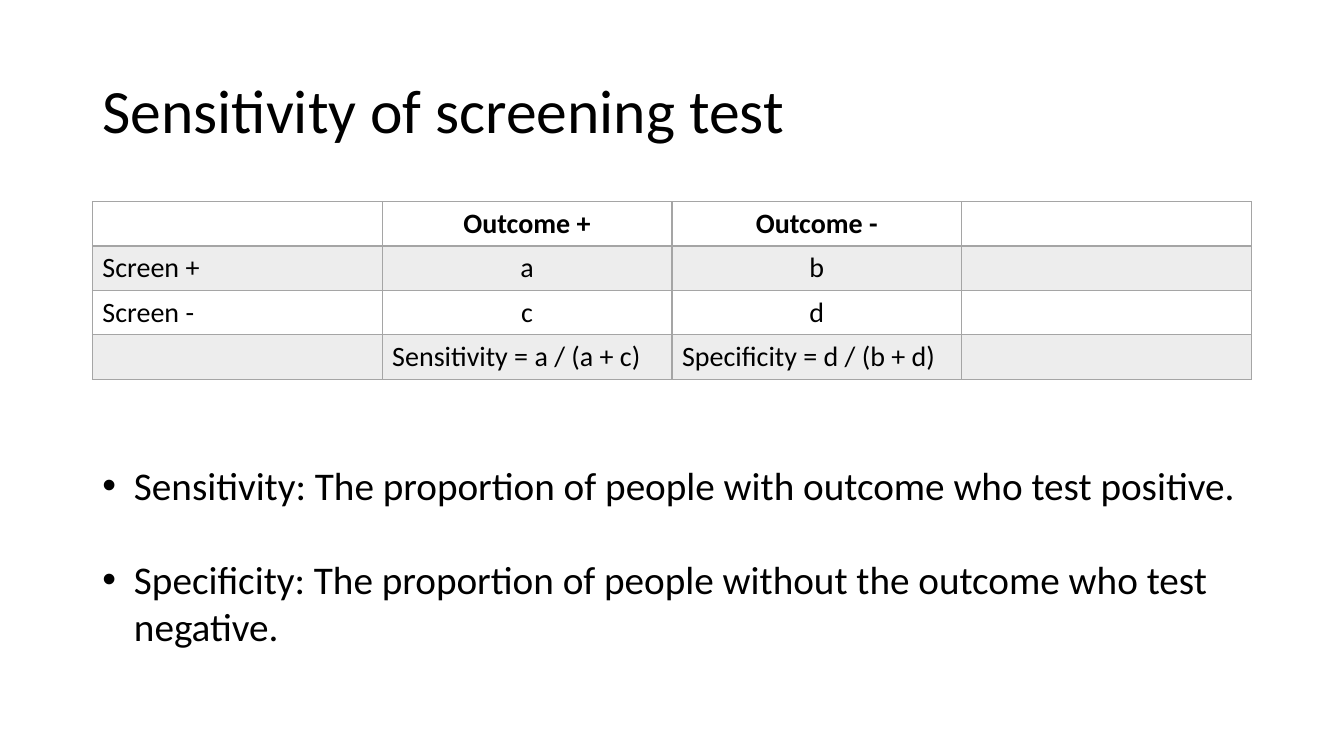
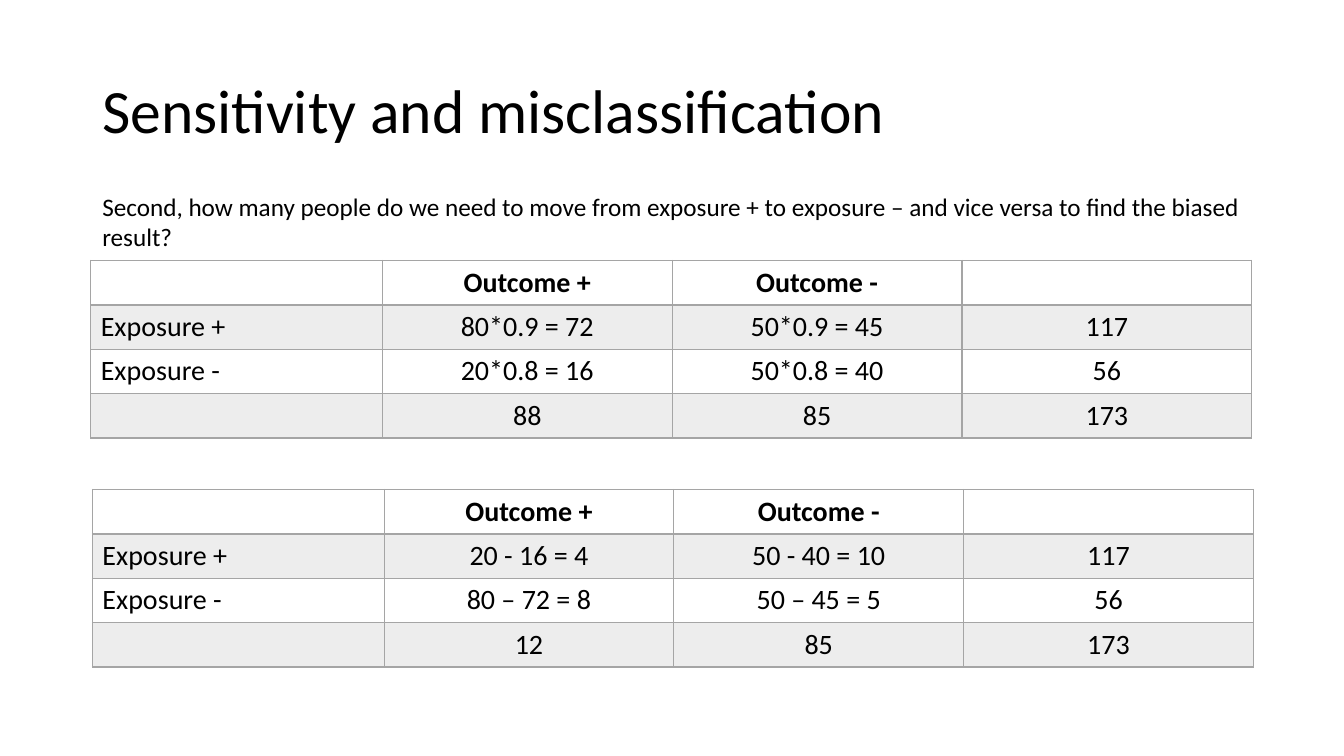
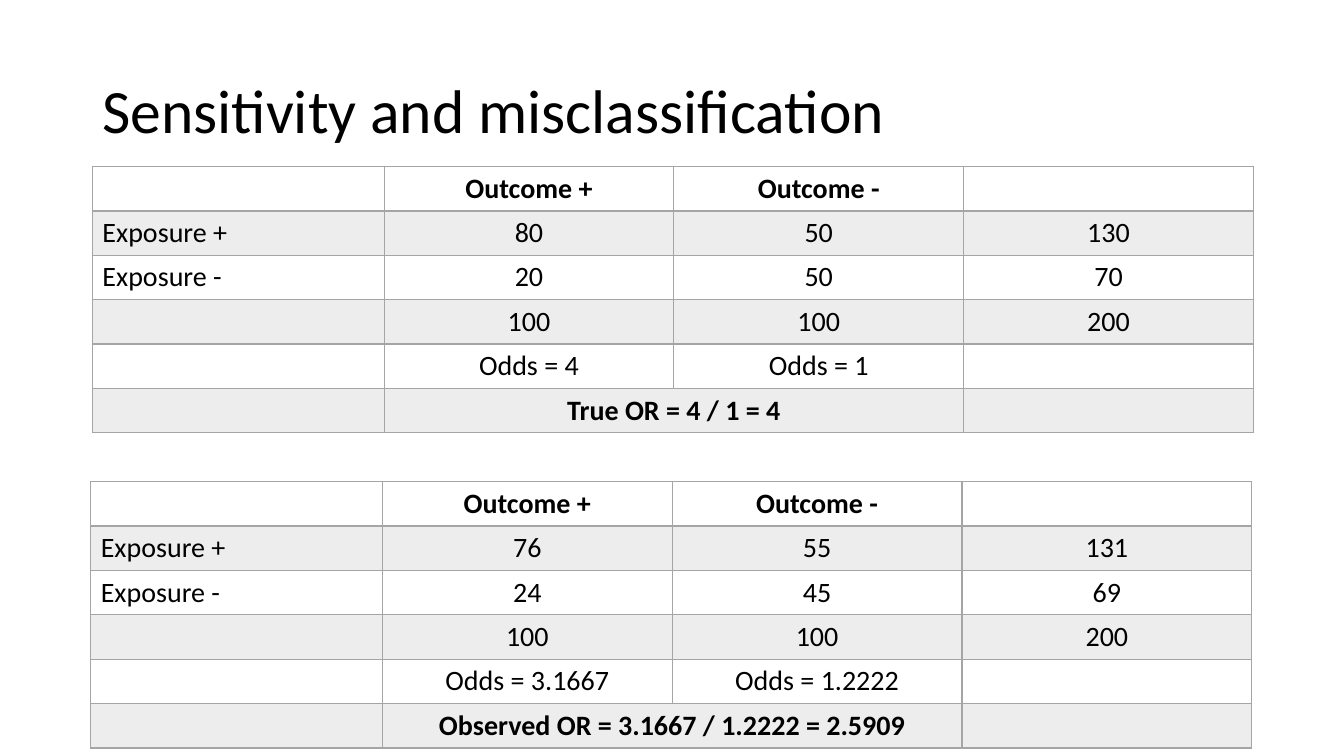
"""Build three slides on screening sensitivity and misclassification."""
from dataclasses import dataclass

from lxml.etree import SubElement
from pptx import Presentation
from pptx.dml.color import RGBColor as Color
from pptx.enum.text import MSO_ANCHOR as Anchor, MSO_AUTO_SIZE as AutoSize, PP_ALIGN as Align
from pptx.oxml.ns import qn
from pptx.util import Pt


@dataclass(frozen=True)
class Theme:
    font: str = "Calibri"
    ink: Color = Color(0, 0, 0)
    band: Color = Color(0xED, 0xED, 0xED)
    rule: str = "A5A5A5"
    title_size: float = 44
    body_size: float = 28
    note_size: float = 18
    cell_size: float = 20
    thin: float = 1
    thick: float = 2
    row_height: float = 31.6
    column_width: float = 207


@dataclass(frozen=True)
class Area:
    left: float
    top: float
    width: float
    height: float


@dataclass(frozen=True)
class Grid:
    left: float
    top: float
    rows: tuple[tuple[str, ...], ...]
    first_width: float = 208.4
    left_rows: tuple[int, ...] = ()
    merged_row: int | None = None


@dataclass(frozen=True)
class Page:
    title: str
    grids: tuple[Grid, ...]
    bullets: tuple[str, ...] = ()
    note: str = ""


THEME = Theme()
TITLE_AREA = Area(66, 28.8, 828, 104.4)
BULLET_AREA = Area(66, 326.2, 828, 143.3)
NOTE_AREA = Area(66, 133.2, 829.4, 51)
BULLET_INDENT = 22.5
BULLET_GAP = 33
TITLE_AND_CONTENT, TITLE_ONLY = 1, 5
HEADER = ("", "Outcome +", "Outcome -", "")
MISCLASSIFICATION = "Sensitivity and misclassification"

PAGES = (
    Page(
        "Sensitivity of screening test",
        (Grid(66, 144, (
            HEADER,
            ("Screen +", "a", "b", ""),
            ("Screen -", "c", "d", ""),
            ("", "Sensitivity = a / (a + c)", "Specificity = d / (b + d)", ""),
        ), first_width=THEME.column_width, left_rows=(3,)),),
        bullets=(
            "Sensitivity: The proportion of people with outcome who test positive.",
            "Specificity: The proportion of people without the outcome who test negative.",
        ),
    ),
    Page(
        MISCLASSIFICATION,
        (
            Grid(64.8, 186, (
                HEADER,
                ("Exposure +", "80*0.9 = 72", "50*0.9 = 45", "117"),
                ("Exposure -", "20*0.8 = 16", "50*0.8 = 40", "56"),
                ("", "88", "85", "173"),
            )),
            Grid(66, 349.6, (
                HEADER,
                ("Exposure +", "20 - 16 = 4", "50 - 40 = 10", "117"),
                ("Exposure -", "80 – 72 = 8", "50 – 45 = 5", "56"),
                ("", "12", "85", "173"),
            )),
        ),
        note="Second, how many people do we need to move from exposure + to exposure – "
             "and vice versa to find the biased result?",
    ),
    Page(
        MISCLASSIFICATION,
        (
            Grid(66, 118.8, (
                HEADER,
                ("Exposure +", "80", "50", "130"),
                ("Exposure -", "20", "50", "70"),
                ("", "100", "100", "200"),
                ("", "Odds = 4", "Odds = 1", ""),
                ("", "True OR = 4 / 1 = 4", "", ""),
            ), merged_row=5),
            Grid(64.8, 344, (
                HEADER,
                ("Exposure +", "76", "55", "131"),
                ("Exposure -", "24", "45", "69"),
                ("", "100", "100", "200"),
                ("", "Odds = 3.1667", "Odds = 1.2222", ""),
                ("", "Observed OR = 3.1667 / 1.2222 = 2.5909", "", ""),
            ), merged_row=5),
        ),
    ),
)


def format_para(para, size: float, align: Align = Align.LEFT, bold: bool = False) -> None:
    para.alignment = align
    font = para.font
    font.name, font.size, font.bold = THEME.font, Pt(size), bold
    font.color.rgb = THEME.ink


def place(shape, area: Area) -> None:
    shape.left, shape.top = Pt(area.left), Pt(area.top)
    shape.width, shape.height = Pt(area.width), Pt(area.height)


def draw_title(slide, text: str) -> None:
    title = slide.shapes.title
    place(title, TITLE_AREA)
    frame = title.text_frame
    frame.text = text
    frame.auto_size = AutoSize.NONE
    frame.vertical_anchor = Anchor.MIDDLE
    para = frame.paragraphs[0]
    para.line_spacing = 0.9
    format_para(para, THEME.title_size)


def draw_bullets(slide, bullets: tuple[str, ...]) -> None:
    body = slide.placeholders[1]
    place(body, BULLET_AREA)
    frame = body.text_frame
    frame.text = "\n".join(bullets)
    frame.auto_size = AutoSize.NONE
    for index, para in enumerate(frame.paragraphs):
        format_para(para, THEME.body_size)
        para.space_before = Pt(BULLET_GAP if index else 0)
        properties = para._p.get_or_add_pPr()
        properties.set("marL", str(Pt(BULLET_INDENT)))
        properties.set("indent", str(-Pt(BULLET_INDENT)))


def draw_note(slide, text: str) -> None:
    box = slide.shapes.add_textbox(0, 0, 0, 0)
    place(box, NOTE_AREA)
    frame = box.text_frame
    frame.word_wrap = True
    frame.text = text
    format_para(frame.paragraphs[0], THEME.note_size)


def draw_borders(cell, row: int) -> None:
    properties = cell._tc.get_or_add_tcPr()
    widths = {
        "a:lnL": THEME.thin,
        "a:lnR": THEME.thin,
        "a:lnT": THEME.thick if row == 1 else THEME.thin,
        "a:lnB": THEME.thick if row == 0 else THEME.thin,
    }
    for tag, width in widths.items():
        line = SubElement(properties, qn(tag), w=str(Pt(width)))
        fill = SubElement(line, qn("a:solidFill"))
        SubElement(fill, qn("a:srgbClr"), val=THEME.rule)


def draw_cell(cell, text: str, row: int, align: Align, bold: bool) -> None:
    cell.text = text
    format_para(cell.text_frame.paragraphs[0], THEME.cell_size, align, bold)
    draw_borders(cell, row)
    if row % 2:
        cell.fill.solid()
        cell.fill.fore_color.rgb = THEME.band
    else:
        cell.fill.background()


def draw_grid(slide, grid: Grid) -> None:
    row_count, column_count = len(grid.rows), len(HEADER)
    widths = [grid.first_width] + [THEME.column_width] * (column_count - 1)
    table = slide.shapes.add_table(
        row_count, column_count, Pt(grid.left), Pt(grid.top),
        Pt(sum(widths)), Pt(THEME.row_height * row_count)).table
    table.horz_banding = table.first_row = False
    for column, width in zip(table.columns, widths):
        column.width = Pt(width)
    for row, texts in enumerate(grid.rows):
        table.rows[row].height = Pt(THEME.row_height)
        bold = row in (0, grid.merged_row)
        for column, text in enumerate(texts):
            is_left = column == 0 or row in grid.left_rows
            align = Align.LEFT if is_left else Align.CENTER
            draw_cell(table.cell(row, column), text, row, align, bold)
    if grid.merged_row is not None:
        table.cell(grid.merged_row, 1).merge(table.cell(grid.merged_row, 2))


def draw_page(deck, page: Page) -> None:
    layout = TITLE_AND_CONTENT if page.bullets else TITLE_ONLY
    slide = deck.slides.add_slide(deck.slide_layouts[layout])
    draw_title(slide, page.title)
    for grid in page.grids:
        draw_grid(slide, grid)
    if page.bullets:
        draw_bullets(slide, page.bullets)
    if page.note:
        draw_note(slide, page.note)


def main() -> None:
    deck = Presentation()
    deck.slide_width, deck.slide_height = Pt(960), Pt(540)
    for page in PAGES:
        draw_page(deck, page)
    deck.save("out.pptx")


main()
